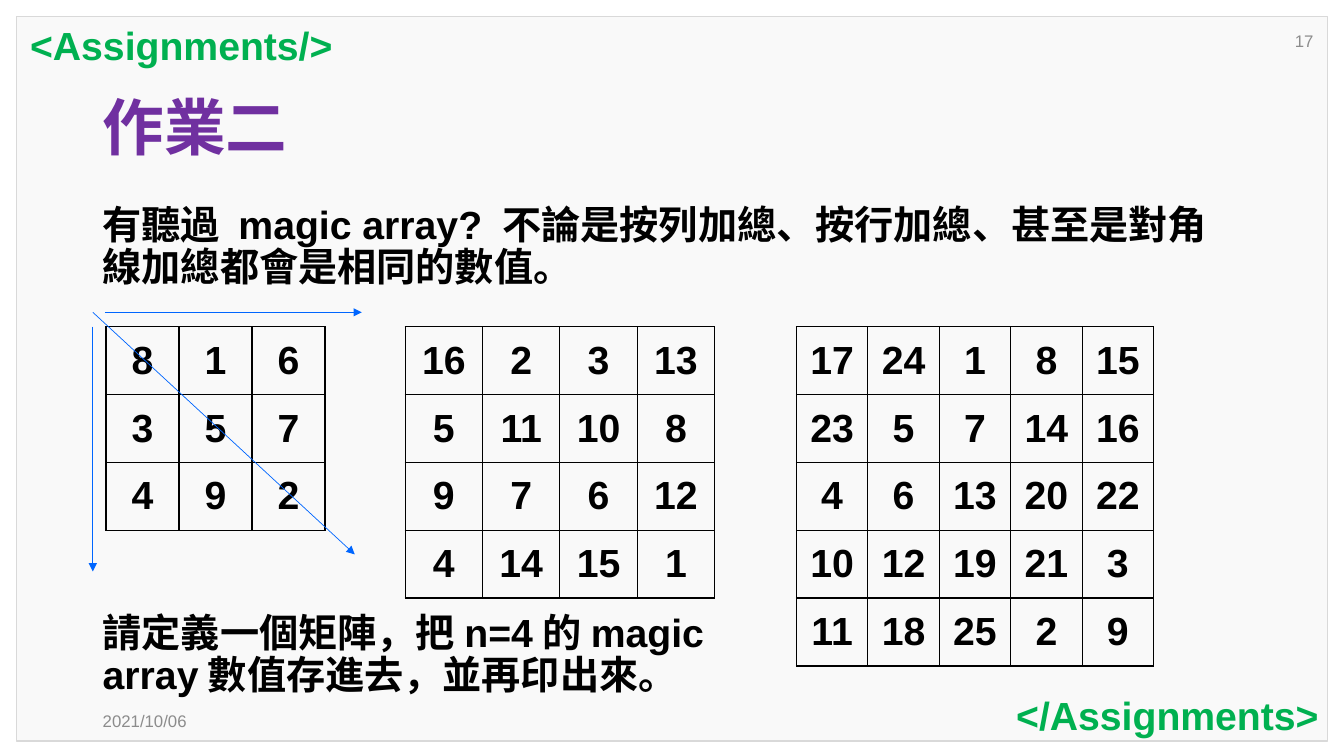
from dataclasses import dataclass

import lxml.etree
import pptx
import pptx.dml.color
import pptx.enum.shapes
import pptx.enum.text
import pptx.oxml
import pptx.oxml.ns
import pptx.util

Cm = pptx.util.Cm
Pt = pptx.util.Pt
Align = pptx.enum.text.PP_ALIGN
Anchor = pptx.enum.text.MSO_ANCHOR

FONT = "Arial"
BLACK = "000000"
GREEN = "00B050"
PURPLE = "7030A0"
GRAY = "8C8C8C"
BLUE = "0066FF"
GRID_TOP = 8.23
ROW_HEIGHT = 1.71
ARROW_LEFT = 2.34
ARROW_TOP = 7.87


@dataclass
class Label:
    text: str
    left: float
    top: float
    width: float
    height: float
    size: float = 28
    color: str = BLACK
    bold: bool = True
    align: Align = Align.LEFT
    anchor: Anchor = Anchor.TOP
    wrap: bool = True
    line_spacing: float = 1.0
    space_before: float = 0


@dataclass
class MagicArray:
    left: float
    column_width: float
    rows: list[list[int]]


@dataclass
class Arrow:
    start: tuple[float, float]
    end: tuple[float, float]


LABELS = [
    Label("2021/10/06", 2.34, 17.65, 2.77, 1.02, 12, GRAY, False, anchor=Anchor.MIDDLE),
    Label("17", 32.28, 0.51, 1.07, 1.02, 12, GRAY, False, Align.RIGHT, Anchor.MIDDLE),
    Label("作業二", 2.34, 1.88, 27.28, 2.82, 44, PURPLE, anchor=Anchor.MIDDLE, line_spacing=0.9),
    Label("<Assignments/>", 0.51, 0.41, 8.23, 1.45, color=GREEN, wrap=False),
    Label("</Assignments>", 25.25, 17.3, 8.23, 1.45, color=GREEN, align=Align.RIGHT, wrap=False),
    Label("有聽過 magic array? 不論是按列加總、按行加總、甚至是對角線加總都會是相同的數值。",
          2.34, 5.05, 28.93, 2.82, line_spacing=0.9, space_before=10),
]
TASK = Label("請定義一個矩陣，把n=4的magic array數值存進去，並再印出來。",
             2.34, 15.34, 17.73, 2.82, line_spacing=0.9, space_before=10)

MAGIC_ARRAYS = [
    MagicArray(2.67, 1.84, [[8, 1, 6], [3, 5, 7], [4, 9, 2]]),
    MagicArray(10.21, 1.95, [[16, 2, 3, 13], [5, 11, 10, 8], [9, 7, 6, 12], [4, 14, 15, 1]]),
    MagicArray(20.07, 1.8, [
        [17, 24, 1, 8, 15],
        [23, 5, 7, 14, 16],
        [4, 6, 13, 20, 22],
        [10, 12, 19, 21, 3],
        [11, 18, 25, 2, 9],
    ]),
]

ARROWS = [
    Arrow((ARROW_LEFT, GRID_TOP), (ARROW_LEFT, 14.4)),
    Arrow((2.64, ARROW_TOP), (9.12, ARROW_TOP)),
    Arrow((ARROW_LEFT, ARROW_TOP), (8.94, 13.97)),
]


def rgb(value: str) -> pptx.dml.color.RGBColor:
    return pptx.dml.color.RGBColor.from_string(value)


def style_paragraph(para, size: float, color: str, bold: bool, align: Align) -> None:
    para.alignment = align
    para.font.name = FONT
    para.font.size = Pt(size)
    para.font.bold = bold
    para.font.color.rgb = rgb(color)


def add_frame(page) -> None:
    frame = page.shapes.add_shape(
        pptx.enum.shapes.MSO_SHAPE.RECTANGLE, Cm(0.41), Cm(0.41), Cm(33.05), Cm(18.26))
    frame.shadow.inherit = False
    frame.fill.solid()
    frame.fill.fore_color.rgb = rgb("F9F9F9")
    frame.line.color.rgb = rgb("D9D9D9")
    frame.line.width = Pt(1)


def add_label(page, label: Label) -> None:
    box = page.shapes.add_textbox(Cm(label.left), Cm(label.top), Cm(label.width), Cm(label.height))
    text_frame = box.text_frame
    text_frame.word_wrap = label.wrap
    text_frame.vertical_anchor = label.anchor
    para = text_frame.paragraphs[0]
    para.text = label.text
    para.line_spacing = label.line_spacing
    para.space_before = Pt(label.space_before)
    style_paragraph(para, label.size, label.color, label.bold, label.align)


def add_borders(cell) -> None:
    properties = cell._tc.get_or_add_tcPr()
    for index, side in enumerate(("lnL", "lnR", "lnT", "lnB")):
        border = pptx.oxml.parse_xml(
            f'<a:{side} {pptx.oxml.ns.nsdecls("a")} w="{Pt(1)}"><a:solidFill>'
            f'<a:srgbClr val="{BLACK}"/></a:solidFill></a:{side}>')
        properties.insert(index, border)


def add_magic_array(page, array: MagicArray) -> None:
    count = len(array.rows)
    table = page.shapes.add_table(
        count, count, Cm(array.left), Cm(GRID_TOP),
        Cm(array.column_width * count), Cm(ROW_HEIGHT * count)).table
    table.first_row = False
    table.horz_banding = False
    for column in table.columns:
        column.width = Cm(array.column_width)
    for row, numbers in zip(table.rows, array.rows):
        row.height = Cm(ROW_HEIGHT)
        for cell, number in zip(row.cells, numbers):
            cell.fill.background()
            cell.vertical_anchor = Anchor.MIDDLE
            para = cell.text_frame.paragraphs[0]
            para.text = str(number)
            style_paragraph(para, 28, BLACK, True, Align.CENTER)
            add_borders(cell)


def add_arrow(page, arrow: Arrow) -> None:
    connector = page.shapes.add_connector(
        pptx.enum.shapes.MSO_CONNECTOR.STRAIGHT, *map(Cm, arrow.start + arrow.end))
    connector.line.color.rgb = rgb(BLUE)
    connector.line.width = Pt(0.5)
    qualify = pptx.oxml.ns.qn
    lxml.etree.SubElement(connector.line._get_or_add_ln(), qualify("a:tailEnd"), type="triangle")
    lxml.etree.SubElement(connector._element.spPr, qualify("a:effectLst"))


def main() -> None:
    deck = pptx.Presentation()
    deck.slide_width = Cm(33.87)
    deck.slide_height = Cm(19.05)
    page = deck.slides.add_slide(deck.slide_layouts[6])
    add_frame(page)
    for label in LABELS:
        add_label(page, label)
    for array in MAGIC_ARRAYS:
        add_magic_array(page, array)
    for arrow in ARROWS:
        add_arrow(page, arrow)
    add_label(page, TASK)
    deck.save("out.pptx")


if __name__ == "__main__":
    main()
